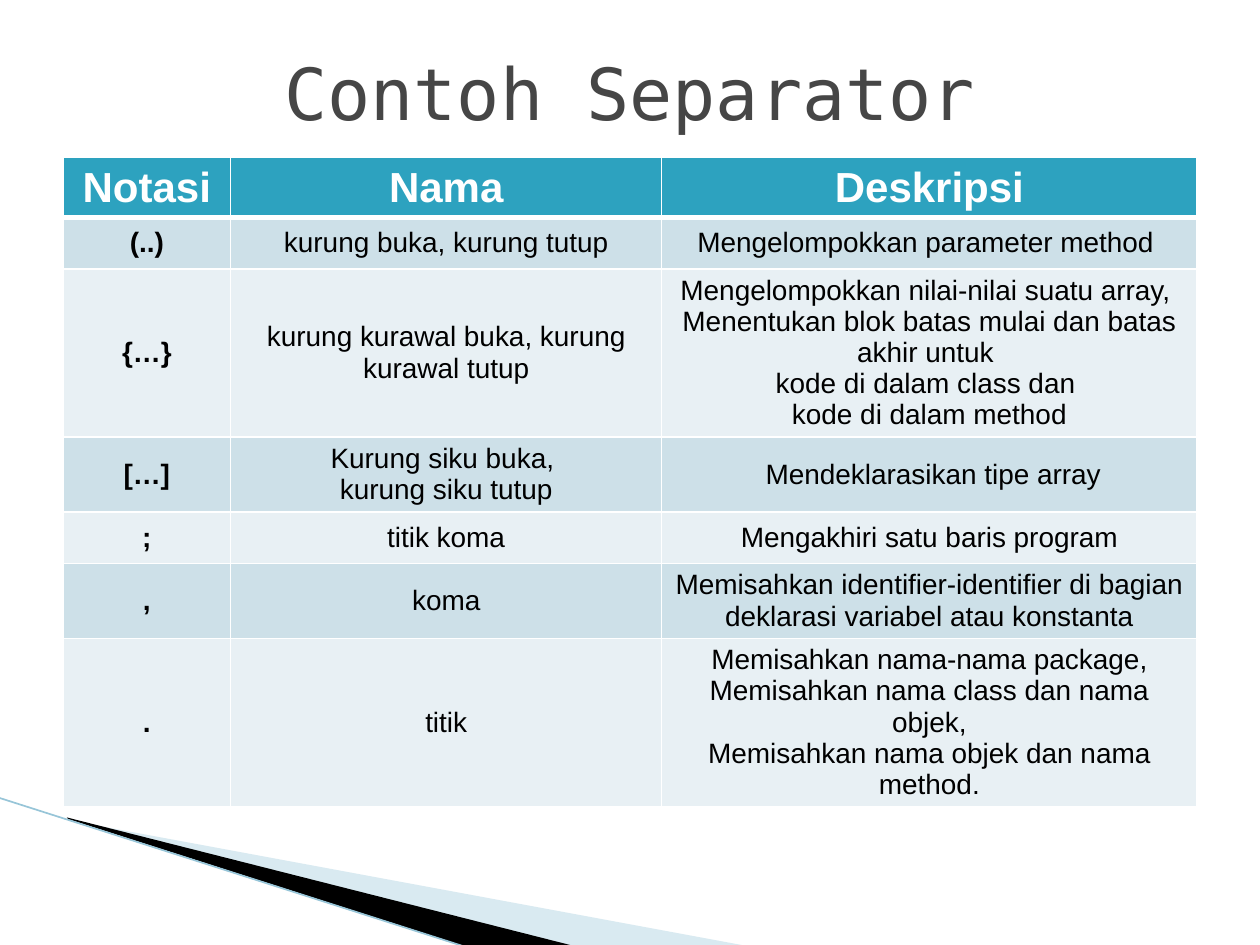
from lxml import etree
from pptx import Presentation
from pptx.dml.color import RGBColor
from pptx.enum.shapes import MSO_CONNECTOR
from pptx.enum.text import MSO_ANCHOR, PP_ALIGN
from pptx.oxml.ns import qn
from pptx.util import Cm, Pt

CENTER = PP_ALIGN.CENTER
MIDDLE = MSO_ANCHOR.MIDDLE
TOP = MSO_ANCHOR.TOP
STRAIGHT = MSO_CONNECTOR.STRAIGHT

HEADER_FILL = "2DA2BF"
BAND_FILLS = ("CDE0E8", "E8F0F4")
COLUMN_WIDTHS = (3.38, 8.69, 10.79)
ROW_HEIGHT = 1.04
SEPARATORS = [
    ("Notasi", "Nama", "Deskripsi"),
    ("(..)", "kurung buka, kurung tutup", "Mengelompokkan parameter method "),
    ("{…}", "kurung kurawal buka, kurung kurawal tutup",
     "Mengelompokkan nilai-nilai suatu array, \n"
     "Menentukan blok batas mulai dan batas akhir untuk \n"
     "kode di dalam class dan \nkode di dalam method"),
    ("[…]", "Kurung siku buka, \nkurung siku tutup", " Mendeklarasikan tipe array"),
    (";", "titik koma", "Mengakhiri satu baris program"),
    (",", "koma",
     "Memisahkan identifier-identifier di bagian deklarasi variabel atau konstanta"),
    (".", "titik",
     "Memisahkan nama-nama package,\nMemisahkan nama class dan nama objek,\n"
     "Memisahkan nama objek dan nama method."),
]
WEDGES = [
    ("A0CBDC", 40, [(1.4, 0.46), (15.11, 3), (11.58, 3), (1.4, 0.43)]),
    ("000000", 100, [(1.35, 0.4), (11.61, 3), (9.45, 3.02), (1.37, 0.43)]),
]


def color(hex_code):
    """Turn a hex string into a colour."""
    return RGBColor.from_string(hex_code)


def format_text(frame, size, font_name, hex_code, bold=False):
    """Centre every paragraph and format its runs."""
    for para in frame.paragraphs:
        para.alignment = CENTER
        for span in para.runs:
            span.font.size = Pt(size)
            span.font.name = font_name
            span.font.bold = bold
            span.font.color.rgb = color(hex_code)


def add_borders(cell, bottom_width):
    """Draw white borders round a cell."""
    properties = cell._tc.get_or_add_tcPr()
    widths = {"a:lnL": 1, "a:lnR": 1, "a:lnT": 1, "a:lnB": bottom_width}
    for index, (tag, width) in enumerate(widths.items()):
        border = etree.Element(qn(tag), w=str(Pt(width)))
        fill = etree.SubElement(border, qn("a:solidFill"))
        etree.SubElement(fill, qn("a:srgbClr"), val="FFFFFF")
        properties.insert(index, border)


def add_swoosh(page, left, top):
    """Draw the two wedges and the thin line at the foot of the page."""
    for hex_code, opacity, corners in WEDGES:
        points = [(Cm(left + x), Cm(top + y)) for x, y in corners]
        builder = page.shapes.build_freeform(*points[0])
        builder.add_line_segments(points[1:], close=True)
        wedge = builder.convert_to_shape()
        wedge.shadow.inherit = False
        wedge.line.fill.background()
        wedge.fill.solid()
        wedge.fill.fore_color.rgb = color(hex_code)
        if opacity < 100:
            tint = wedge._element.spPr.find(".//" + qn("a:srgbClr"))
            etree.SubElement(tint, qn("a:alpha"), val=str(opacity * 1000))
    edge = page.shapes.add_connector(
        STRAIGHT, Cm(left - 0.03), Cm(top), Cm(left + 9.42), Cm(top + 3.02))
    edge.line.color.rgb = color("97C5D8")
    edge.line.width = Pt(0.95)
    etree.SubElement(edge._element.spPr, qn("a:effectLst"))


def add_separator_table(page, left, top):
    """Place the table of separators with banded rows."""
    table = page.shapes.add_table(
        len(SEPARATORS), len(COLUMN_WIDTHS), Cm(left), Cm(top),
        Cm(sum(COLUMN_WIDTHS)), Cm(ROW_HEIGHT * len(SEPARATORS))).table
    for column, width in zip(table.columns, COLUMN_WIDTHS):
        column.width = Cm(width)
    for row_index, texts in enumerate(SEPARATORS):
        is_header = row_index == 0
        fill = HEADER_FILL if is_header else BAND_FILLS[(row_index - 1) % 2]
        for column_index, text in enumerate(texts):
            cell = table.cell(row_index, column_index)
            cell.text_frame.text = text
            cell.vertical_anchor = TOP if is_header else MIDDLE
            cell.fill.solid()
            cell.fill.fore_color.rgb = color(fill)
            format_text(cell.text_frame, 24 if is_header else 16, "Arial",
                        "FFFFFF" if is_header else "000000",
                        is_header or column_index == 0)
            add_borders(cell, 3 if is_header else 1)


def set_title(page, left, top, width, height):
    """Move, fill and format the title placeholder."""
    title = page.shapes.title
    title.left, title.top = Cm(left), Cm(top)
    title.width, title.height = Cm(width), Cm(height)
    title.text_frame.text = "Contoh Separator"
    title.text_frame.vertical_anchor = MIDDLE
    format_text(title.text_frame, 41, "DejaVu Sans Mono", "464646")


def main():
    """Build the deck and save it."""
    deck = Presentation()
    deck.slide_width, deck.slide_height = Cm(25.4), Cm(19.05)
    page = deck.slides.add_slide(deck.slide_layouts[5])
    add_swoosh(page, 0, 16.08)
    add_separator_table(page, 1.27, 3.18)
    set_title(page, 1.27, 0.76, 22.86, 2.2)
    deck.save("out.pptx")


if __name__ == "__main__":
    main()
